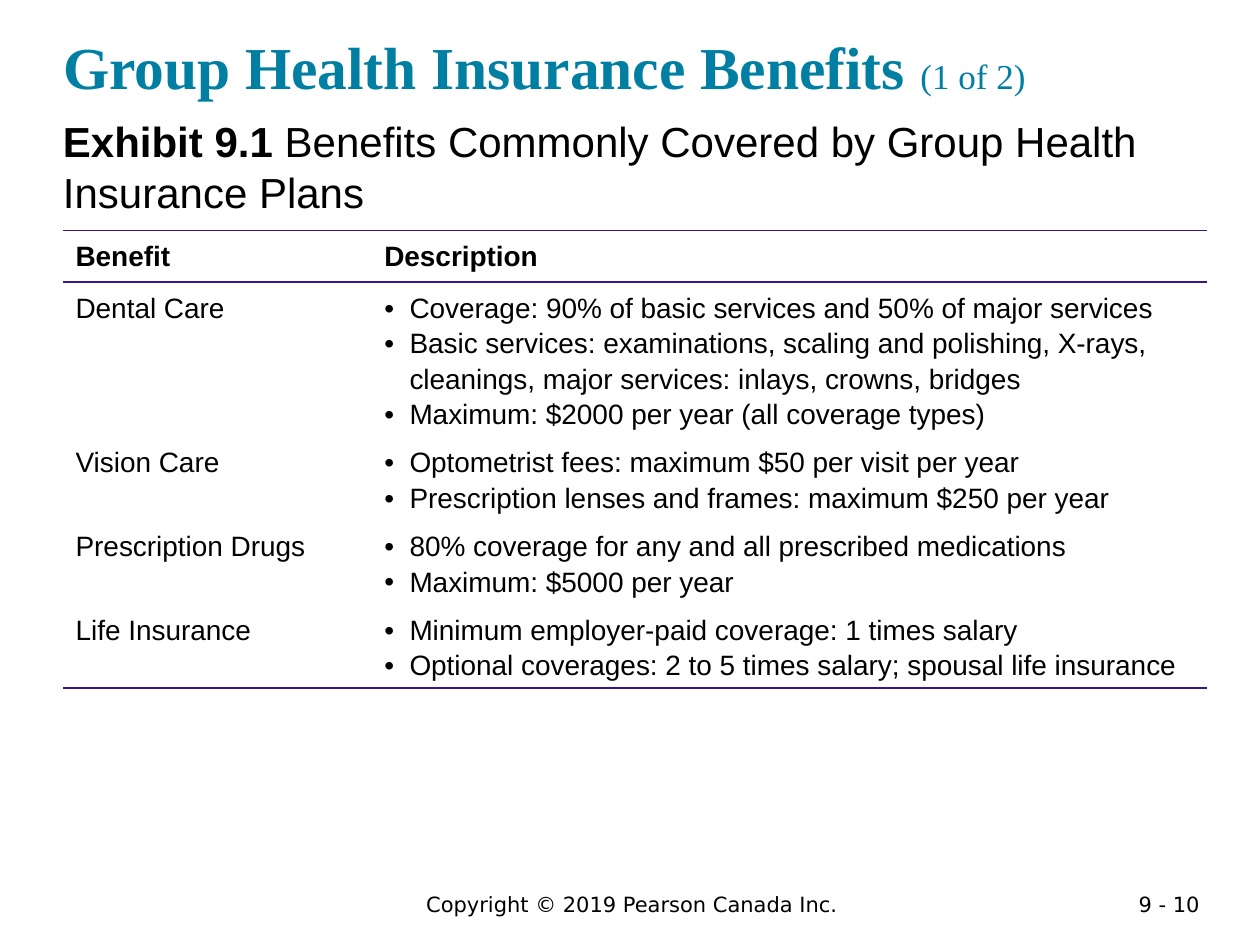
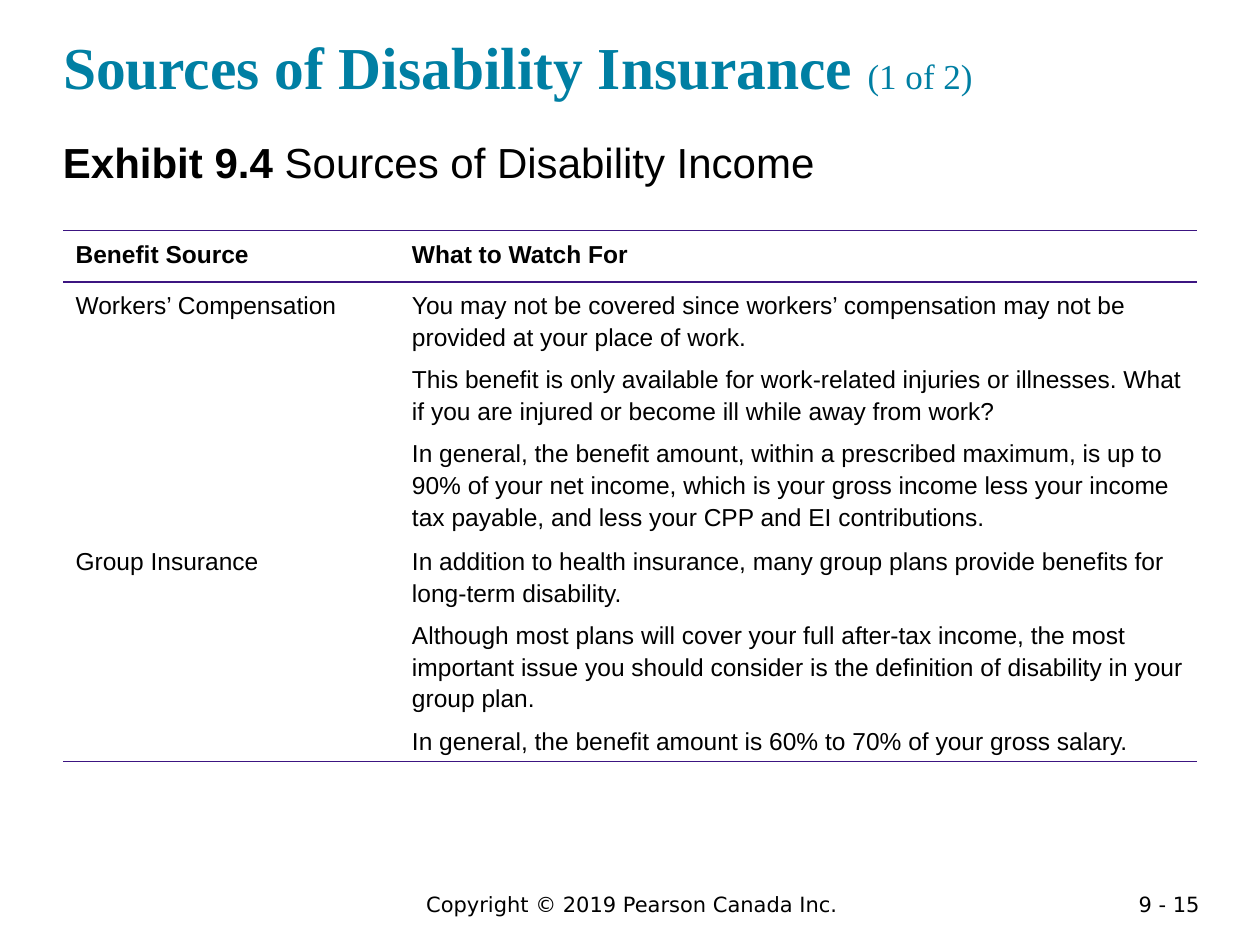
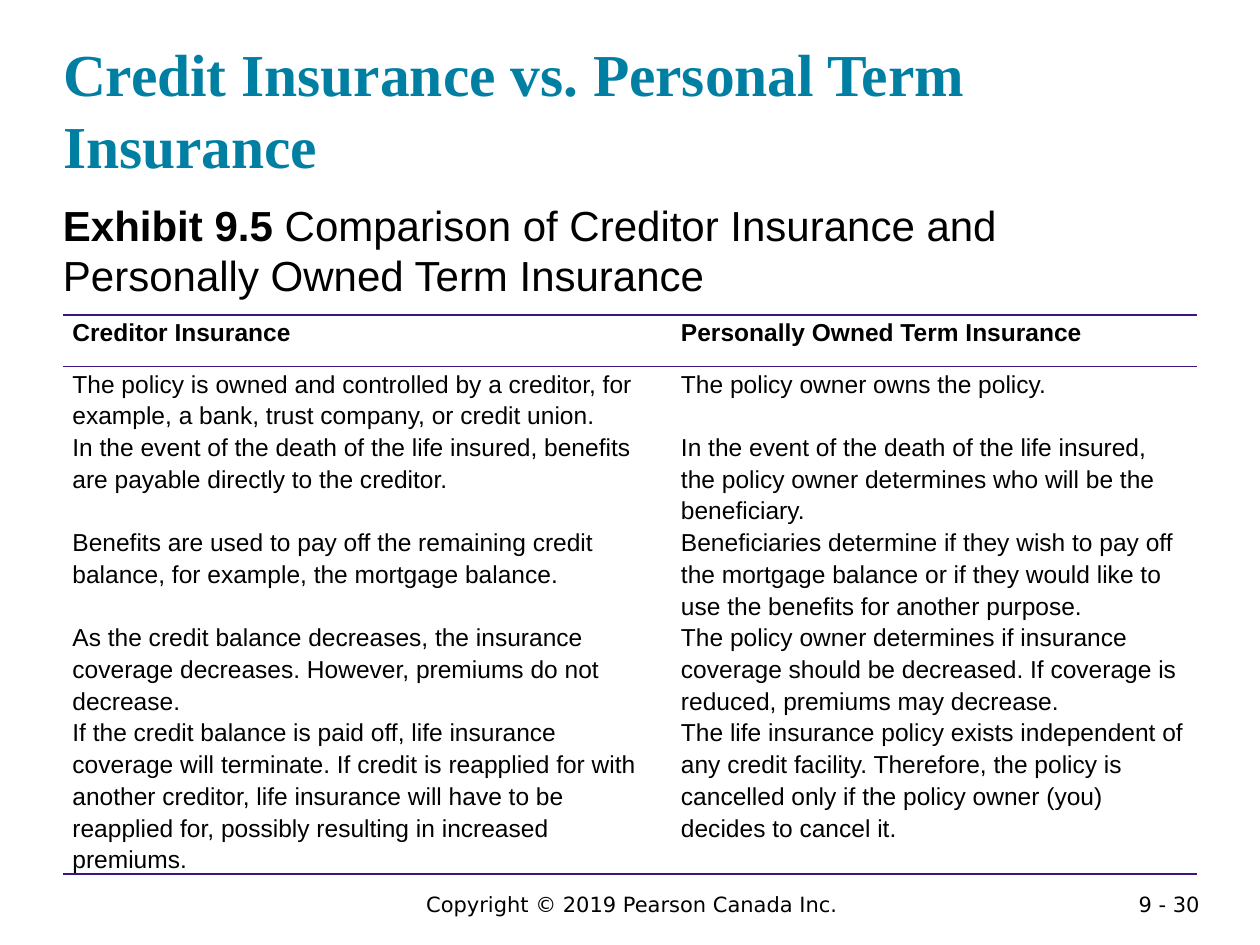
import pptx
import pptx.dml.color
import pptx.enum.text
import pptx.oxml
import pptx.oxml.ns
import pptx.util
from pptx.util import Inches

ANCHOR = pptx.enum.text.MSO_ANCHOR
ALIGN = pptx.enum.text.PP_ALIGN
NO_STYLE_NO_GRID = "{2D5ABB26-0587-4C30-8999-92F81FD0307C}"
TITLE_ONLY = 5


def rgb(value):
    return pptx.dml.color.RGBColor.from_string(value)


def add_run(paragraph, text, *, size, font="Arial", color="000000", bold=False):
    run = paragraph.add_run()
    run.text = text
    run.font.size = pptx.util.Pt(size)
    run.font.name = font
    run.font.bold = bold
    run.font.color.rgb = rgb(color)


def add_bullet(paragraph, indent=0.2):
    properties = paragraph._p.get_or_add_pPr()
    properties.set("marL", str(Inches(indent)))
    properties.set("indent", str(-Inches(indent)))
    namespace = pptx.oxml.ns.nsdecls("a")
    for element in ('buFont {} typeface="Arial"', 'buChar {} char="•"'):
        properties.append(pptx.oxml.parse_xml(f"<a:{element.format(namespace)}/>"))


def set_border(cell, side, color, width=1):
    """Draw one border of a cell; call for "T" before "B", and before any fill."""
    line = pptx.oxml.parse_xml(
        f'<a:ln{side} {pptx.oxml.ns.nsdecls("a")} w="{pptx.util.Pt(width)}">'
        f'<a:solidFill><a:srgbClr val="{color}"/></a:solidFill></a:ln{side}>')
    cell._tc.get_or_add_tcPr().append(line)


def clear_margins(text_frame):
    text_frame.margin_left = text_frame.margin_right = 0
    text_frame.margin_top = text_frame.margin_bottom = 0


class Deck:
    TEAL = "007FA3"
    RULE = "3C1581"
    LEFT = 0.5
    WIDTH = 9
    ROW_HEIGHT = 0.41
    LINE_PITCH = {14: 18.1, 16: 20.3}
    COPYRIGHT = "Copyright © 2019 Pearson Canada Inc."

    def __init__(self):
        self.presentation = pptx.Presentation()
        self.presentation.slide_width = Inches(10)
        self.presentation.slide_height = Inches(7.5)
        self.slide = None

    def add_slide(self, page):
        layout = self.presentation.slide_layouts[TITLE_ONLY]
        self.slide = self.presentation.slides.add_slide(layout)
        self.footer(self.COPYRIGHT, 1.64, 6.75, 0.3, ALIGN.CENTER)
        self.footer(f"9 - {page}", 8.62, 1, 0.22, ALIGN.RIGHT)

    def text_box(self, left, top, width, height):
        shape = self.slide.shapes.add_textbox(
            Inches(left), Inches(top), Inches(width), Inches(height))
        shape.text_frame.word_wrap = True
        return shape.text_frame

    def footer(self, text, left, width, height, alignment):
        paragraph = self.text_box(left, 7.03, width, height).paragraphs[0]
        paragraph.alignment = alignment
        add_run(paragraph, text, size=12, font="DejaVu Sans")

    def title(self, text, part="", height=0.6, anchor=ANCHOR.TOP):
        shape = self.slide.shapes.title
        shape.left, shape.top = Inches(self.LEFT), Inches(0.24)
        shape.width, shape.height = Inches(self.WIDTH), Inches(height)
        frame = shape.text_frame
        frame.auto_size = pptx.enum.text.MSO_AUTO_SIZE.NONE
        frame.word_wrap = True
        frame.vertical_anchor = anchor
        clear_margins(frame)
        paragraph = frame.paragraphs[0]
        paragraph.alignment = ALIGN.LEFT
        style = {"font": "Times New Roman", "color": self.TEAL}
        add_run(paragraph, text, size=34, bold=True, **style)
        if part:
            add_run(paragraph, part, size=20, **style)

    def exhibit(self, number, caption, top, height):
        frame = self.text_box(self.LEFT, top, self.WIDTH, height)
        clear_margins(frame)
        add_run(frame.paragraphs[0], f"Exhibit {number} ", size=24, bold=True)
        add_run(frame.paragraphs[0], caption, size=24)

    def table(self, rows, top, widths, *, size, bullets=False, space=0, tight=False):
        """Add a ruled table; a cell is a string or a list of paragraphs."""
        table = self.slide.shapes.add_table(
            len(rows), len(widths), Inches(self.LEFT), Inches(top),
            Inches(sum(widths)), Inches(self.ROW_HEIGHT * len(rows))).table
        table.horz_banding = False
        style = table._tbl.tblPr.find(pptx.oxml.ns.qn("a:tableStyleId"))
        style.text = NO_STYLE_NO_GRID
        for column, width in zip(table.columns, widths):
            column.width = Inches(width)
        for row_index, row in enumerate(rows):
            table.rows[row_index].height = Inches(self.ROW_HEIGHT)
            header = row_index == 0
            for column_index, content in enumerate(row):
                cell = table.cell(row_index, column_index)
                if tight:
                    cell.margin_left = cell.margin_right = pptx.util.Pt(5.4)
                    cell.margin_top = cell.margin_bottom = 0
                if header:
                    set_border(cell, "T", self.RULE)
                if header or row_index == len(rows) - 1:
                    set_border(cell, "B", self.RULE)
                cell.fill.background()
                self.fill_cell(cell, content, size, header, bullets, space)

    def fill_cell(self, cell, content, size, bold, bullets, space):
        is_list = isinstance(content, list)
        for index, text in enumerate(content if is_list else [content]):
            frame = cell.text_frame
            paragraph = frame.add_paragraph() if index else frame.paragraphs[0]
            if is_list and bullets:
                add_bullet(paragraph)
            paragraph.line_spacing = pptx.util.Pt(self.LINE_PITCH[size])
            if index and space:
                paragraph.space_before = pptx.util.Pt(space)
            add_run(paragraph, text, size=size, bold=bold)


BENEFITS = [
    ("Benefit", "Description"),
    ("Dental Care", [
        "Coverage: 90% of basic services and 50% of major services",
        "Basic services: examinations, scaling and polishing, X-rays, "
        "cleanings, major services: inlays, crowns, bridges",
        "Maximum: $2000 per year (all coverage types)"]),
    ("Vision Care", [
        "Optometrist fees: maximum $50 per visit per year",
        "Prescription lenses and frames: maximum $250 per year"]),
    ("Prescription Drugs", [
        "80% coverage for any and all prescribed medications",
        "Maximum: $5000 per year"]),
    ("Life Insurance", [
        "Minimum employer-paid coverage: 1 times salary",
        "Optional coverages: 2 to 5 times salary; spousal life insurance"]),
]

DISABILITY_SOURCES = [
    ("Benefit Source", "What to Watch For"),
    ("Workers’ Compensation", [
        "You may not be covered since workers’ compensation may not be "
        "provided at your place of work.",
        "This benefit is only available for work-related injuries or illnesses. "
        "What if you are injured or become ill while away from work?",
        "In general, the benefit amount, within a prescribed maximum, is up to "
        "90% of your net income, which is your gross income less your income "
        "tax payable, and less your CPP and EI contributions."]),
    ("Group Insurance", [
        "In addition to health insurance, many group plans provide benefits "
        "for long-term disability.",
        "Although most plans will cover your full after-tax income, the most "
        "important issue you should consider is the definition of disability "
        "in your group plan.",
        "In general, the benefit amount is 60% to 70% of your gross salary."]),
]

COMPARISON = [
    ("Creditor Insurance", "Personally Owned Term Insurance"),
    ("The policy is owned and controlled by a creditor, for example, a bank, "
     "trust company, or credit union.",
     "The policy owner owns the policy."),
    ("In the event of the death of the life insured, benefits are payable "
     "directly to the creditor.",
     "In the event of the death of the life insured, the policy owner "
     "determines who will be the beneficiary."),
    ("Benefits are used to pay off the remaining credit balance, for example, "
     "the mortgage balance.",
     "Beneficiaries determine if they wish to pay off the mortgage balance or "
     "if they would like to use the benefits for another purpose."),
    ("As the credit balance decreases, the insurance coverage decreases. "
     "However, premiums do not decrease.",
     "The policy owner determines if insurance coverage should be decreased. "
     "If coverage is reduced, premiums may decrease."),
    ("If the credit balance is paid off, life insurance coverage will "
     "terminate. If credit is reapplied for with another creditor, life "
     "insurance will have to be reapplied for, possibly resulting in "
     "increased premiums.",
     "The life insurance policy exists independent of any credit facility. "
     "Therefore, the policy is cancelled only if the policy owner (you) "
     "decides to cancel it."),
]


def main():
    deck = Deck()

    deck.add_slide(10)
    deck.title("Group Health Insurance Benefits ", "(1 of 2)")
    deck.exhibit("9.1", "Benefits Commonly Covered by Group Health Insurance Plans",
                 0.92, 0.77)
    deck.table(BENEFITS, 1.83, (2.45, 6.63), size=16, bullets=True)

    deck.add_slide(15)
    deck.title("Sources of Disability Insurance ", "(1 of 2)", height=0.68)
    deck.exhibit("9.4", "Sources of Disability Income", 1.08, 0.51)
    deck.table(DISABILITY_SOURCES, 1.83, (2.67, 6.33), size=14, space=6)

    deck.add_slide(30)
    deck.title("Credit Insurance vs. Personal Term Insurance",
               height=1.19, anchor=ANCHOR.BOTTOM)
    deck.exhibit("9.5", "Comparison of Creditor Insurance and Personally Owned "
                 "Term Insurance", 1.58, 0.83)
    deck.table(COMPARISON, 2.5, (4.83, 4.17), size=14, tight=True)

    deck.presentation.save("out.pptx")


if __name__ == "__main__":
    main()
